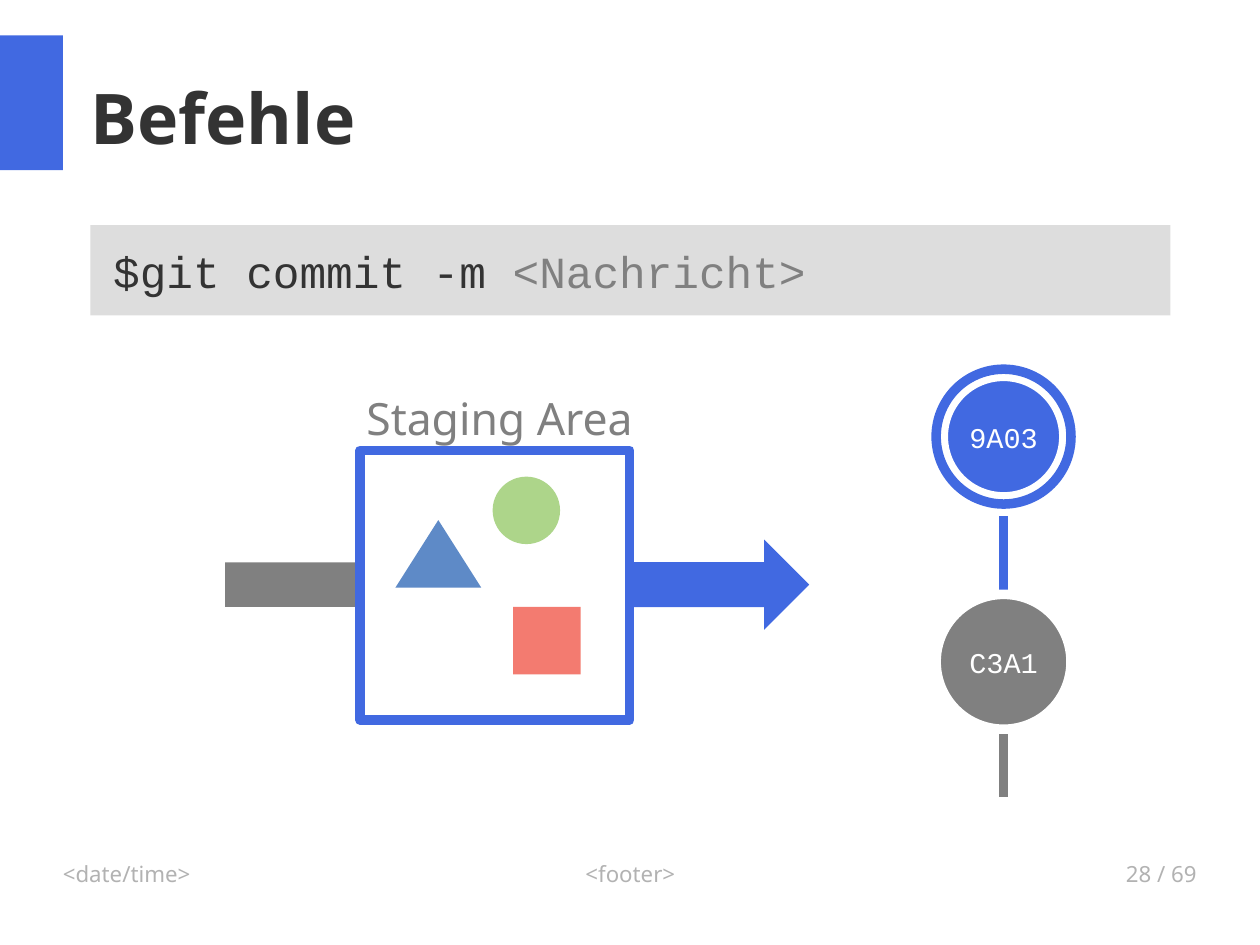
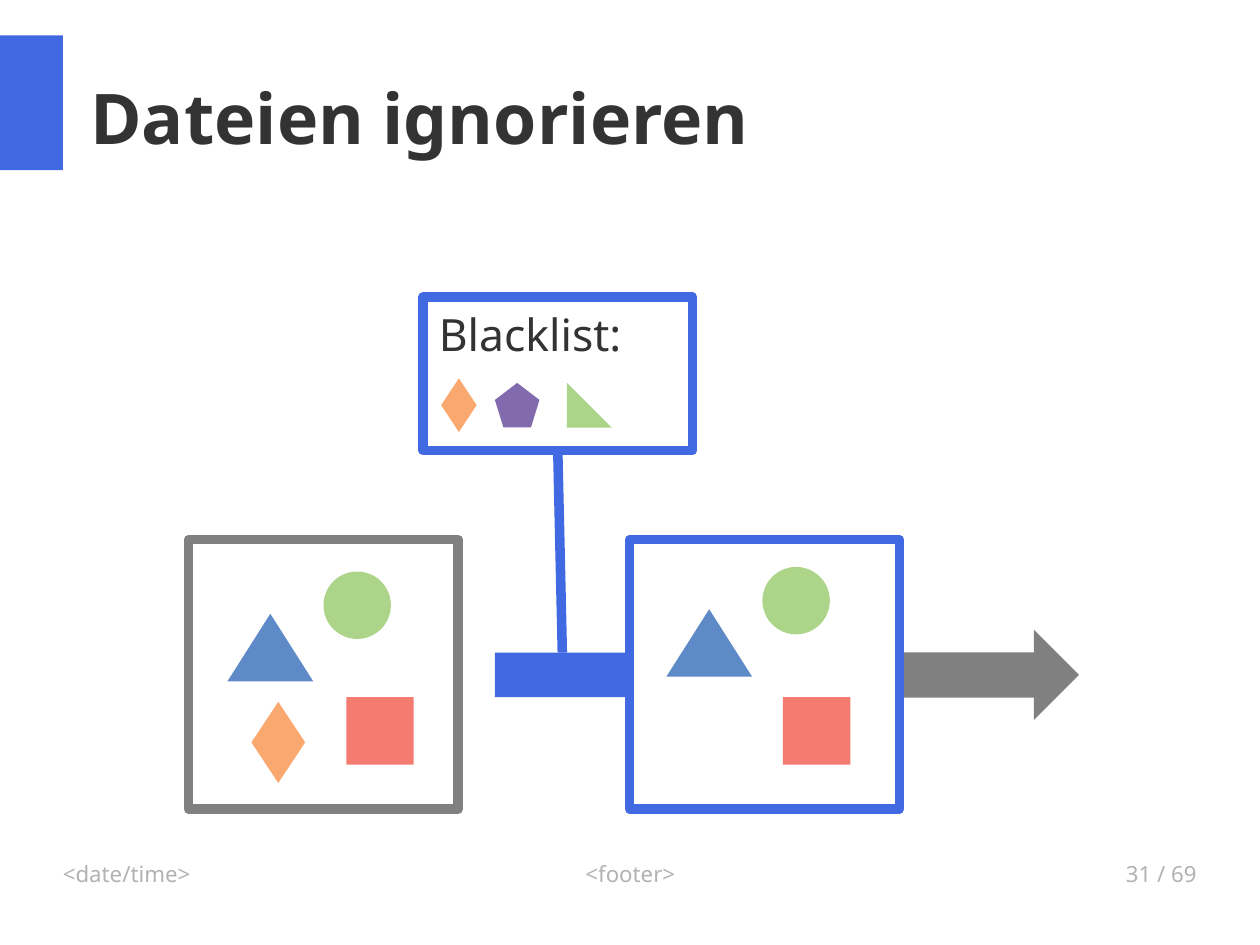
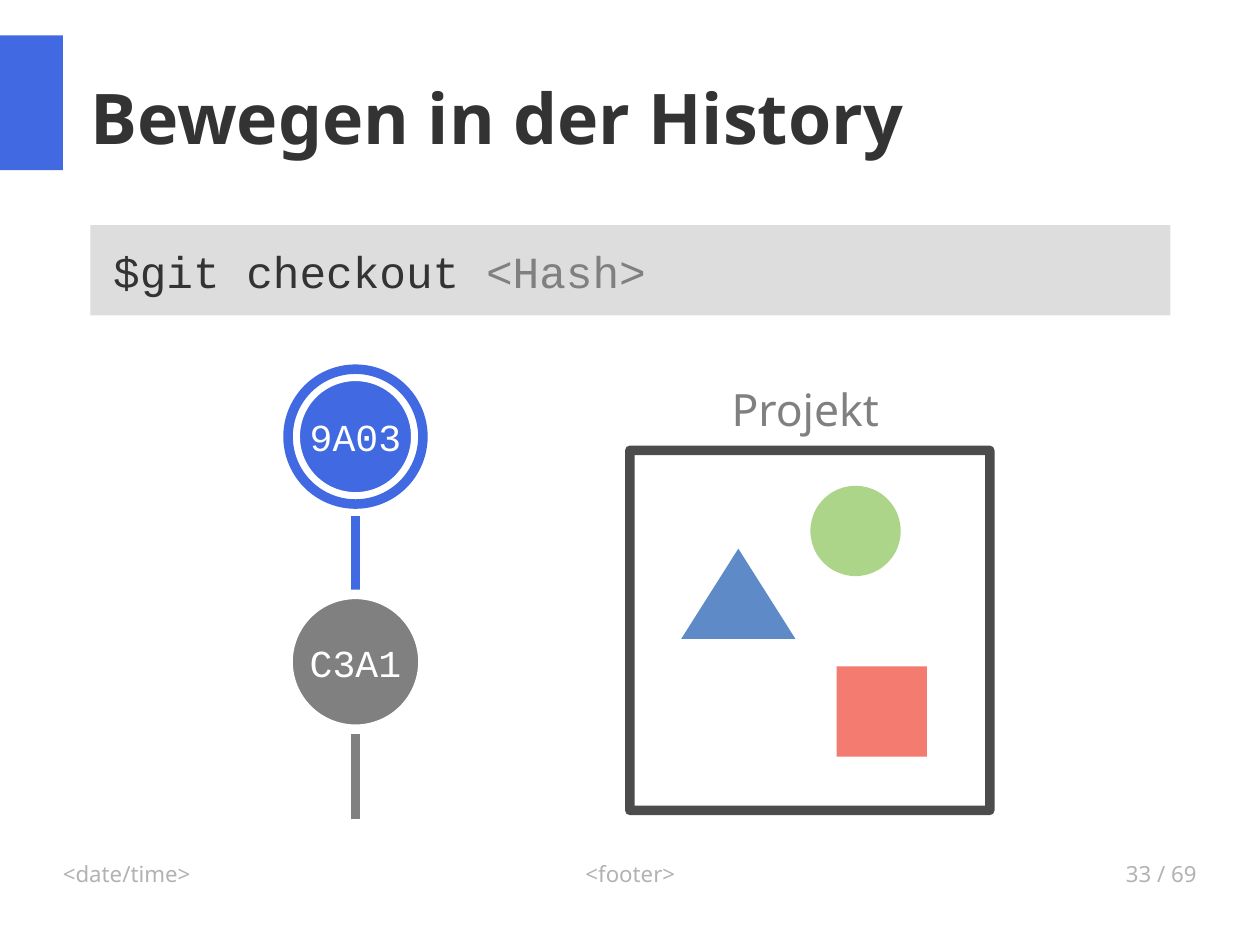
import pptx
import pptx.dml.color
import pptx.enum.shapes
import pptx.enum.text
import pptx.oxml
import pptx.util
from lxml import etree

Inches, Pt = pptx.util.Inches, pptx.util.Pt
RGB = pptx.dml.color.RGBColor.from_string
SHAPE = pptx.enum.shapes.MSO_SHAPE
ALIGN = pptx.enum.text.PP_ALIGN
ANCHOR = pptx.enum.text.MSO_ANCHOR
SANS, MONO = "Noto Sans", "Courier New"
C = {
    "blue": "4169E1", "gray": "808080", "dark": "333333", "light": "DDDDDD",
    "footer": "B2B2B2", "white": "FFFFFF", "black": "000000", "green": "ADD58A",
    "steel": "5E8AC7", "red": "F37B70", "orange": "F9A870", "purple": "826AAF",
}


def add(s, kind, at, fill=None, line=None, width=6):
    """Add a preset shape with an optional fill and outline."""
    sp = s.shapes.add_shape(kind, *map(Inches, at))
    sp.shadow.inherit = False
    if fill:
        sp.fill.solid()
        sp.fill.fore_color.rgb = RGB(C[fill])
    else:
        sp.fill.background()
    if line:
        sp.line.color.rgb = RGB(C[line])
        sp.line.width = Pt(width)
    else:
        sp.line.fill.background()
    return sp


def write(sp, runs, size, font=SANS, align=ALIGN.LEFT, anchor=ANCHOR.TOP,
          inset=(0, 0), wrap=True, bold=False):
    """Fill a shape with one paragraph of (text, colour) runs."""
    tf = sp.text_frame
    x, y = map(Inches, inset)
    frame = {"margin_left": x, "margin_right": x, "margin_top": y, "margin_bottom": y,
             "word_wrap": wrap, "vertical_anchor": anchor,
             "auto_size": pptx.enum.text.MSO_AUTO_SIZE.NONE}
    for name, value in frame.items():
        setattr(tf, name, value)
    p = tf.paragraphs[0]
    p.alignment = align
    for text, color in runs:
        r = p.add_run()
        r.text = text
        for name, value in {"size": Pt(size), "name": font, "bold": bold}.items():
            setattr(r.font, name, value)
        r.font.color.rgb = RGB(C[color])
    return p


# Slide of 28 by 21 cm
prs = pptx.Presentation()
prs.slide_width = Inches(28 / 2.54)
prs.slide_height = Inches(21 / 2.54)

# Shared parts: band, footers, title and command bar
pages = [
    ("Befehle", 28, ("$git commit -m ", "<Nachricht>")),
    ("Dateien ignorieren", 31, None),
    ("Bewegen in der History", 33, ("$git checkout ", "<Hash>")),
]
for title, number, command in pages:
    s = prs.slides.add_slide(prs.slide_layouts[5])
    add(s, SHAPE.RECTANGLE, (0, 0.31, 0.55, 1.18), "blue")
    footers = [
        (0.55, 2.57, "<date/time>", ALIGN.LEFT),
        (3.77, 3.49, "<footer>", ALIGN.CENTER),
        (7.9, 2.57, f"{number} / 69", ALIGN.RIGHT),
    ]
    for x, w, text, align in footers:
        box = s.shapes.add_textbox(Inches(x), Inches(7.53), Inches(w), Inches(0.57))
        write(box, [(text, "footer")], 14, align=align)

    sp = s.shapes.title
    sp.left, sp.top, sp.width, sp.height = map(Inches, (0.79, 0.33, 9.68, 1.38))
    write(sp, [(title, "dark")], 44, anchor=ANCHOR.MIDDLE, bold=True)

    if command:
        bar = add(s, SHAPE.RECTANGLE, (0.79, 1.97, 9.45, 0.79), "light")
        p = write(bar, zip(command, ("dark", "gray")), 28, MONO, anchor=ANCHOR.MIDDLE)
        p.space_after = Pt(14.1)
        pPr = p._p.get_or_add_pPr()
        pPr.set("marL", str(Inches(0.2)))
        pPr.set("indent", "0")

commit, ignore, history = prs.slides

# Bars and arrows that run into and out of the staging area
flows = [
    (commit, 1.97, 4.72, "gray", "blue"),
    (ignore, 4.33, 5.51, "blue", "gray"),
]
for s, x, y, bar, arrow in flows:
    add(s, SHAPE.RECTANGLE, (x, y + 0.2, 1.18, 0.39), bar)
    add(s, SHAPE.RIGHT_ARROW, (x + 3.54, y, 1.57, 0.79), arrow)

# Frames
frames = [
    (commit, 3.15, 3.94, 2.36, "blue"),
    (ignore, 1.65, 4.72, 2.36, "gray"),
    (ignore, 5.51, 4.72, 2.36, "blue"),
    (history, 5.51, 3.94, 3.15, "black"),
]
for s, x, y, size, color in frames:
    frame = add(s, SHAPE.RECTANGLE, (x, y, size, size), line=color)
    if color == "black":
        clr = frame.line._ln.find(".//" + pptx.oxml.ns.qn("a:srgbClr"))
        etree.SubElement(clr, pptx.oxml.ns.qn("a:alpha"), val="70000")

# Files: circle, triangle and square, with positions per frame
files = [
    (commit, 0.59, 0.75, (4.31, 4.17), (3.46, 4.55), (4.49, 5.31)),
    (ignore, 0.59, 0.75, (2.83, 5), (1.99, 5.37), (3.03, 6.1)),
    (ignore, 0.59, 0.75, (6.67, 4.96), (5.83, 5.33), (6.85, 6.1)),
    (history, 0.79, 1, (7.09, 4.25), (5.96, 4.8), (7.32, 5.83)),
]
for s, size, base, circle, triangle, square in files:
    add(s, SHAPE.OVAL, (*circle, size, size), "green")
    add(s, SHAPE.ISOSCELES_TRIANGLE, (*triangle, base, size), "steel")
    add(s, SHAPE.RECTANGLE, (*square, size, size), "red")

# Blacklist with the ignored files
blacklist = add(ignore, SHAPE.RECTANGLE, (3.7, 2.6, 2.36, 1.34), line="blue")
write(blacklist, [("Blacklist:", "dark")], 28, inset=(0.14, 0.09), wrap=False)
ignored = [
    (SHAPE.DIAMOND, (2.2, 6.14, 0.47, 0.71), "orange"),
    (SHAPE.DIAMOND, (3.86, 3.31, 0.31, 0.47), "orange"),
    (SHAPE.REGULAR_PENTAGON, (4.33, 3.35, 0.39, 0.39), "purple"),
    (SHAPE.RIGHT_TRIANGLE, (4.96, 3.35, 0.39, 0.39), "green"),
]
for kind, at, color in ignored:
    add(ignore, kind, at, color)

# Frame captions
captions = [
    (commit, "Staging Area", (2.99, 3.31, 2.76, 0.63)),
    (history, "Projekt", (5.35, 3.23, 3.39, 0.63)),
]
for s, text, at in captions:
    box = s.shapes.add_textbox(*map(Inches, at))
    write(box, [(text, "gray")], 28, align=ALIGN.CENTER, anchor=ANCHOR.BOTTOM,
          inset=(0.1, 0.05))

# Lines between commits and from the blacklist to the bar
lines = [
    (commit, (8.78, 5.2, 8.78, 4.41), "blue"),
    (commit, (8.78, 6.38, 8.78, 6.97), "gray"),
    (ignore, (4.92, 5.71, 4.88, 3.94), "blue"),
    (history, (3.11, 5.2, 3.11, 4.41), "blue"),
    (history, (3.11, 7.17, 3.11, 6.38), "gray"),
]
for s, ends, color in lines:
    line = s.shapes.add_connector(pptx.enum.shapes.MSO_CONNECTOR.STRAIGHT,
                                  *map(Inches, ends))
    line.line.color.rgb = RGB(C[color])
    line.line.width = Pt(6)
    etree.SubElement(line._element.spPr, pptx.oxml.ns.qn("a:effectLst"))

# Commits, the current one ringed
for s, x, size in [(commit, 8.19, 18), (history, 2.52, 24)]:
    for text, y, color, width in [("9A03", 3.23, "blue", 15), ("C3A1", 5.2, "gray", 6)]:
        node = add(s, SHAPE.OVAL, (x, y, 1.18, 1.18), color, "white", width)
        write(node, [(text, "white")], size, MONO, ALIGN.CENTER, ANCHOR.MIDDLE, wrap=False)
    add(s, SHAPE.OVAL, (x, 3.23, 1.18, 1.18), line="blue")

prs.save("out.pptx")
